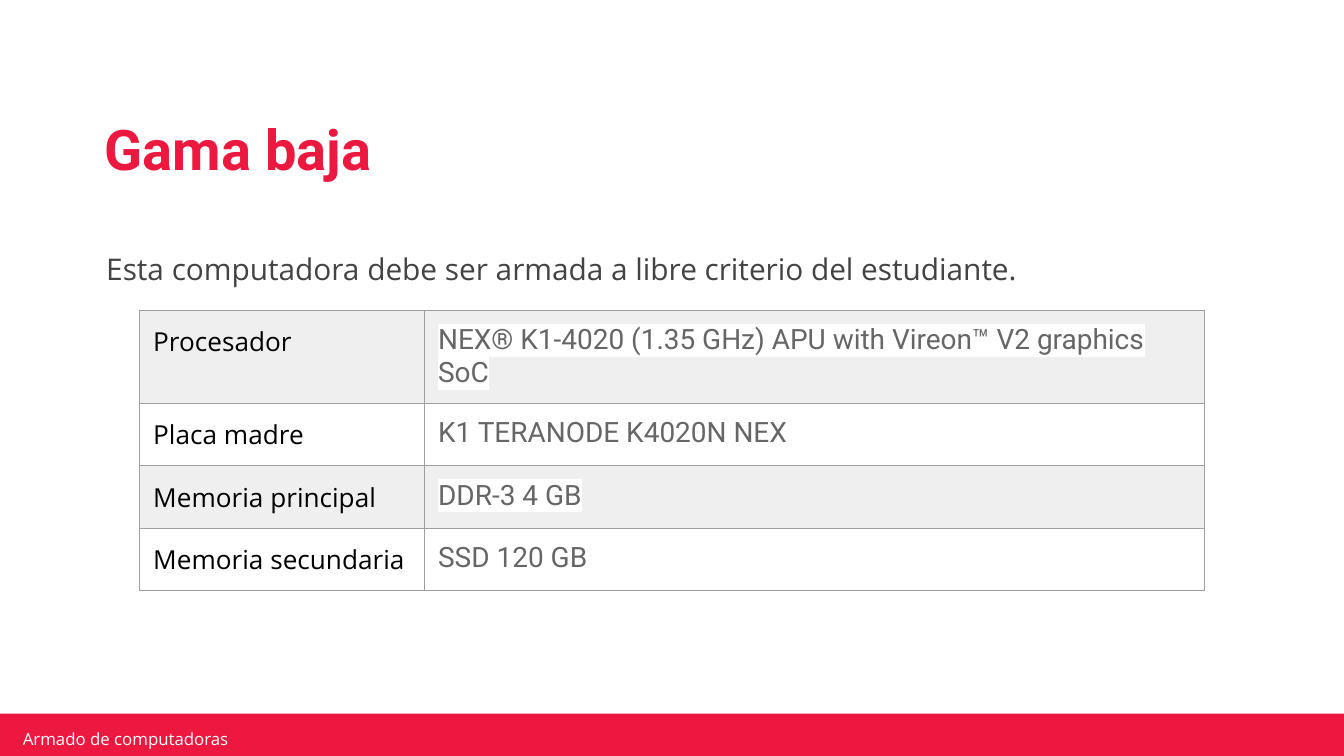
import dataclasses

import lxml.etree
import pptx
import pptx.dml.color
import pptx.enum.dml
import pptx.enum.shapes
import pptx.enum.text
import pptx.oxml.ns
import pptx.util

Inches = pptx.util.Inches
Pt = pptx.util.Pt
qn = pptx.oxml.ns.qn

RED, WHITE, BAND, BORDER = "EC183F", "FFFFFF", "EFEFEF", "9E9E9E"


@dataclasses.dataclass(frozen=True)
class TextStyle:
    font: str
    size: float
    color: str
    bold: bool = False
    highlight: str = ""


@dataclasses.dataclass(frozen=True)
class Component:
    label: str
    model: str
    height: float = 0.46


TITLE = TextStyle("Roboto", 30, RED, bold=True)
BODY = TextStyle("Open Sans", 16, "434343")
FOOTER = TextStyle("Open Sans", 9, WHITE)
LABEL = TextStyle("Open Sans", 14, "000000")
MODEL = TextStyle("Roboto", 15, "666666", highlight=WHITE)

COMPONENTS = [
    Component("Procesador", "NEX® K1-4020 (1.35 GHz) APU with Vireon™ V2 graphics SoC", 0.69),
    Component("Placa madre", "K1 TERANODE K4020N NEX"),
    Component("Memoria principal", "DDR-3 4 GB"),
    Component("Memoria secundaria", "SSD 120 GB"),
]


def rgb(value: str) -> pptx.dml.color.RGBColor:
    return pptx.dml.color.RGBColor.from_string(value)


def place(shape, left: float, top: float, width: float, height: float) -> None:
    shape.left, shape.top = Inches(left), Inches(top)
    shape.width, shape.height = Inches(width), Inches(height)


def add_run(paragraph, text: str, style: TextStyle) -> None:
    run = paragraph.add_run()
    run.text = text
    run.font.size = Pt(style.size)
    run.font.bold = style.bold
    run.font.color.rgb = rgb(style.color)
    if style.highlight:
        mark = lxml.etree.SubElement(run.font._element, qn("a:highlight"))
        lxml.etree.SubElement(mark, qn("a:srgbClr"), val=style.highlight)
    run.font.name = style.font


def write_frame(frame, text: str, style: TextStyle, anchor, side: float,
                edge: float, spacing: float = 1.0) -> None:
    frame.word_wrap = True
    frame.auto_size = pptx.enum.text.MSO_AUTO_SIZE.NONE
    frame.vertical_anchor = anchor
    frame.margin_left = frame.margin_right = Inches(side)
    frame.margin_top = frame.margin_bottom = Inches(edge)
    paragraph = frame.paragraphs[0]
    paragraph.alignment = pptx.enum.text.PP_ALIGN.LEFT
    paragraph.line_spacing = spacing
    paragraph.space_before = Pt(0)
    add_run(paragraph, text, style)


def write_cell(cell, text: str, style: TextStyle, fill: str) -> None:
    cell.margin_left = cell.margin_right = Inches(0.1)
    cell.margin_top = cell.margin_bottom = Inches(0.1)
    cell.fill.solid()
    cell.fill.fore_color.rgb = rgb(fill)
    add_run(cell.text_frame.paragraphs[0], text, style)
    # Borders come before the fill in the cell properties
    properties = cell._tc.get_or_add_tcPr()
    for index, side in enumerate(("lnL", "lnR", "lnT", "lnB")):
        border = lxml.etree.Element(qn(f"a:{side}"), w=str(Pt(0.75)))
        solid = lxml.etree.SubElement(border, qn("a:solidFill"))
        lxml.etree.SubElement(solid, qn("a:srgbClr"), val=BORDER)
        properties.insert(index, border)


def add_footer(slide) -> None:
    divider = slide.shapes.add_connector(
        pptx.enum.shapes.MSO_CONNECTOR.STRAIGHT,
        Inches(-0.02), Inches(5.32), Inches(10.02), Inches(5.32))
    divider.line.color.rgb = rgb("FCD8D6")
    divider.line.width = Pt(0.75)
    divider.line.dash_style = pptx.enum.dml.MSO_LINE.ROUND_DOT
    lxml.etree.SubElement(divider._element.spPr, qn("a:effectLst"))

    band = slide.shapes.add_shape(
        pptx.enum.shapes.MSO_SHAPE.RECTANGLE,
        Inches(-0.02), Inches(5.31), Inches(10.03), Inches(0.36))
    band.shadow.inherit = False
    band.fill.solid()
    band.fill.fore_color.rgb = rgb(RED)
    band.line.fill.background()

    course = slide.shapes.add_textbox(
        Inches(0.12), Inches(5.42), Inches(2.39), Inches(0.15))
    write_frame(course.text_frame, "Armado de computadoras", FOOTER,
                pptx.enum.text.MSO_ANCHOR.MIDDLE, 0.05, 0.02)


def add_components(slide, components: list[Component]) -> None:
    widths = (2.12, 5.8)
    table = slide.shapes.add_table(
        len(components), len(widths), Inches(1.04), Inches(2.31),
        Inches(sum(widths)), Inches(sum(c.height for c in components))).table
    table.first_row = table.horz_banding = False
    for column, width in zip(table.columns, widths):
        column.width = Inches(width)
    for index, component in enumerate(components):
        fill = WHITE if index % 2 else BAND
        table.rows[index].height = Inches(component.height)
        write_cell(table.cell(index, 0), component.label, LABEL, fill)
        write_cell(table.cell(index, 1), component.model, MODEL, fill)


def main() -> None:
    # Widescreen slide, 16:9
    deck = pptx.Presentation()
    deck.slide_width = Inches(10)
    deck.slide_height = deck.slide_width * 9 // 16
    slide = deck.slides.add_slide(deck.slide_layouts[1])

    # Title and introduction
    heading, intro = slide.shapes.title, slide.placeholders[1]
    place(heading, 0.69, 0.67, 8.4, 0.93)
    write_frame(heading.text_frame, "Gama baja", TITLE,
                pptx.enum.text.MSO_ANCHOR.MIDDLE, 0.09, 0.04, 0.9)
    place(intro, 0.69, 1.68, 8.83, 0.3)
    write_frame(intro.text_frame,
                "Esta computadora debe ser armada a libre criterio del estudiante.",
                BODY, pptx.enum.text.MSO_ANCHOR.TOP, 0.1, 0.05, 1.5)
    # The introduction is a plain sentence, without bullet or indent
    intro_format = intro.text_frame.paragraphs[0]._p.get_or_add_pPr()
    intro_format.set("marL", "0")
    intro_format.set("indent", "0")
    lxml.etree.SubElement(intro_format, qn("a:buNone"))

    # Component table and footer
    add_components(slide, COMPONENTS)
    add_footer(slide)
    deck.save("out.pptx")


if __name__ == "__main__":
    main()
